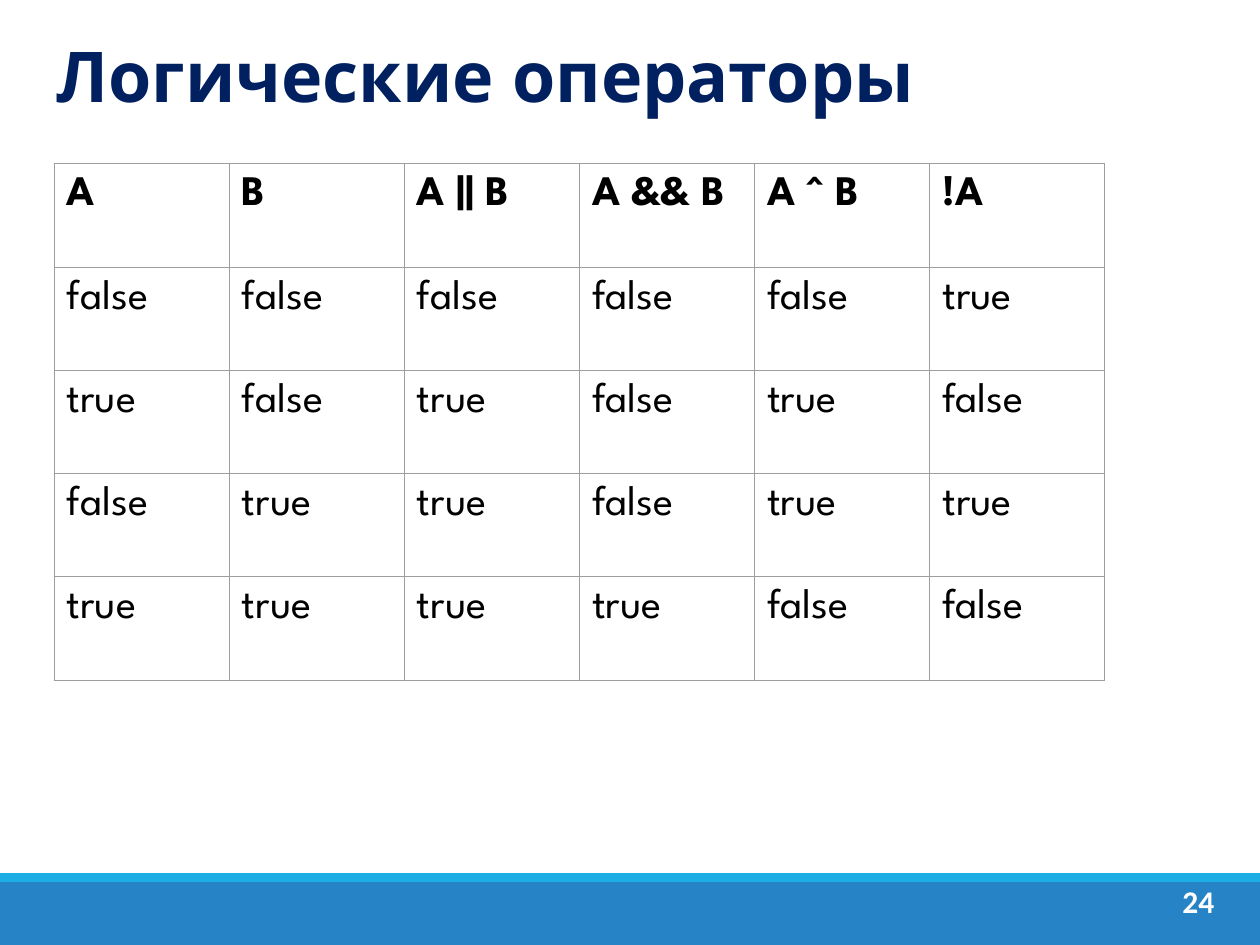
import dataclasses
import itertools

import pptx
import pptx.dml.color
import pptx.enum.shapes
import pptx.enum.text
import pptx.oxml
import pptx.oxml.ns
import pptx.util

INCH = pptx.util.Inches
ALIGN = pptx.enum.text.PP_ALIGN
ANCHOR = pptx.enum.text.MSO_ANCHOR
WIDE, HIGH = 10, 7.5


@dataclasses.dataclass(frozen=True)
class Theme:
    face: str = "League Spartan"
    plain: str = "Calibri"
    navy: str = "002060"
    ink: str = "000000"
    white: str = "FFFFFF"
    blue: str = "2683C6"
    sky: str = "1CADE4"
    rule: str = "9E9E9E"
    head: int = 40
    cell: int = 24
    page: int = 18


THEME = Theme()


def color(code):
    return pptx.dml.color.RGBColor.from_string(code)


def box(left, top, wide, high):
    return [INCH(size) for size in (left, top, wide, high)]


def write(frame, text, size, hue, face=THEME.face, bold=True, align=ALIGN.LEFT):
    """Put one line of styled text in a frame."""
    line = frame.paragraphs[0]
    line.alignment = align
    run = line.add_run()
    run.text = text
    look = {"name": face, "size": pptx.util.Pt(size), "bold": bold}
    for key, value in look.items():
        setattr(run.font, key, value)
    run.font.color.rgb = color(hue)


def set_frame(frame, anchor):
    look = {
        "word_wrap": True, "auto_size": pptx.enum.text.MSO_AUTO_SIZE.NONE,
        "vertical_anchor": anchor,
        "margin_left": INCH(0.1), "margin_right": INCH(0.1),
        "margin_top": INCH(0.05), "margin_bottom": INCH(0.05),
    }
    for key, value in look.items():
        setattr(frame, key, value)


def add_band(slide, top, high, hue):
    """Draw a full-width band."""
    kind = pptx.enum.shapes.MSO_SHAPE.RECTANGLE
    band = slide.shapes.add_shape(kind, *box(0, top, WIDE, high))
    band.shadow.inherit = False
    band.fill.solid()
    band.fill.fore_color.rgb = color(hue)
    band.line.fill.background()


def add_title(slide, text):
    title = slide.shapes.title
    place = zip(("left", "top", "width", "height"), box(0.35, 0.28, 8.82, 0.63))
    for key, value in place:
        setattr(title, key, value)
    set_frame(title.text_frame, ANCHOR.MIDDLE)
    write(title.text_frame, text, THEME.head, THEME.navy)


def add_page(slide, text):
    note = slide.shapes.add_textbox(*box(9.27, 6.95, 0.48, 0.4))
    set_frame(note.text_frame, ANCHOR.TOP)
    write(note.text_frame, text, THEME.page, THEME.white, THEME.plain,
          align=ALIGN.CENTER)


def set_edges(cell):
    """Rule all four sides; lines come before the fill in the schema."""
    props = cell._tc.get_or_add_tcPr()
    for spot, side in enumerate(("lnL", "lnR", "lnT", "lnB")):
        props.insert(spot, pptx.oxml.parse_xml(
            f'<a:{side} {pptx.oxml.ns.nsdecls("a")} w="{pptx.util.Pt(0.75)}">'
            f'<a:solidFill><a:srgbClr val="{THEME.rule}"/></a:solidFill>'
            f'</a:{side}>'))


def add_grid(slide, rows, left, top, col, row):
    """Add a ruled table of equal cells with a bold first row."""
    down, over = len(rows), len(rows[0])
    place = box(left, top, over * col, down * row)
    grid = slide.shapes.add_table(down, over, *place).table
    grid.horz_banding = False
    for item in grid.columns:
        item.width = INCH(col)
    for item in grid.rows:
        item.height = INCH(row)
    for r, c in itertools.product(range(down), range(over)):
        cell = grid.cell(r, c)
        for side in ("left", "right", "top", "bottom"):
            setattr(cell, f"margin_{side}", INCH(0.1))
        cell.fill.background()
        set_edges(cell)
        write(cell.text_frame, rows[r][c], THEME.cell, THEME.ink, bold=r == 0)


def truth_rows():
    """Work out the truth table, with A changing fastest."""
    rows = [["A", "B", "A || B", "A && B", "A ^ B", "!A"]]
    for b, a in itertools.product((False, True), repeat=2):
        facts = (a, b, a or b, a and b, a ^ b, not a)
        rows.append([str(fact).lower() for fact in facts])
    return rows


def main():
    deck = pptx.Presentation()
    deck.slide_width, deck.slide_height = INCH(WIDE), INCH(HIGH)
    slide = deck.slides.add_slide(deck.slide_layouts.get_by_name("Title Only"))

    # Footer bands
    add_band(slide, 7, 0.5, THEME.blue)
    add_band(slide, 6.93, 0.07, THEME.sky)

    # Title, page number and table
    add_title(slide, "Логические операторы")
    add_page(slide, "24")
    add_grid(slide, truth_rows(), 0.43, 1.3, col=1.39, row=0.82)
    deck.save("out.pptx")


if __name__ == "__main__":
    main()
